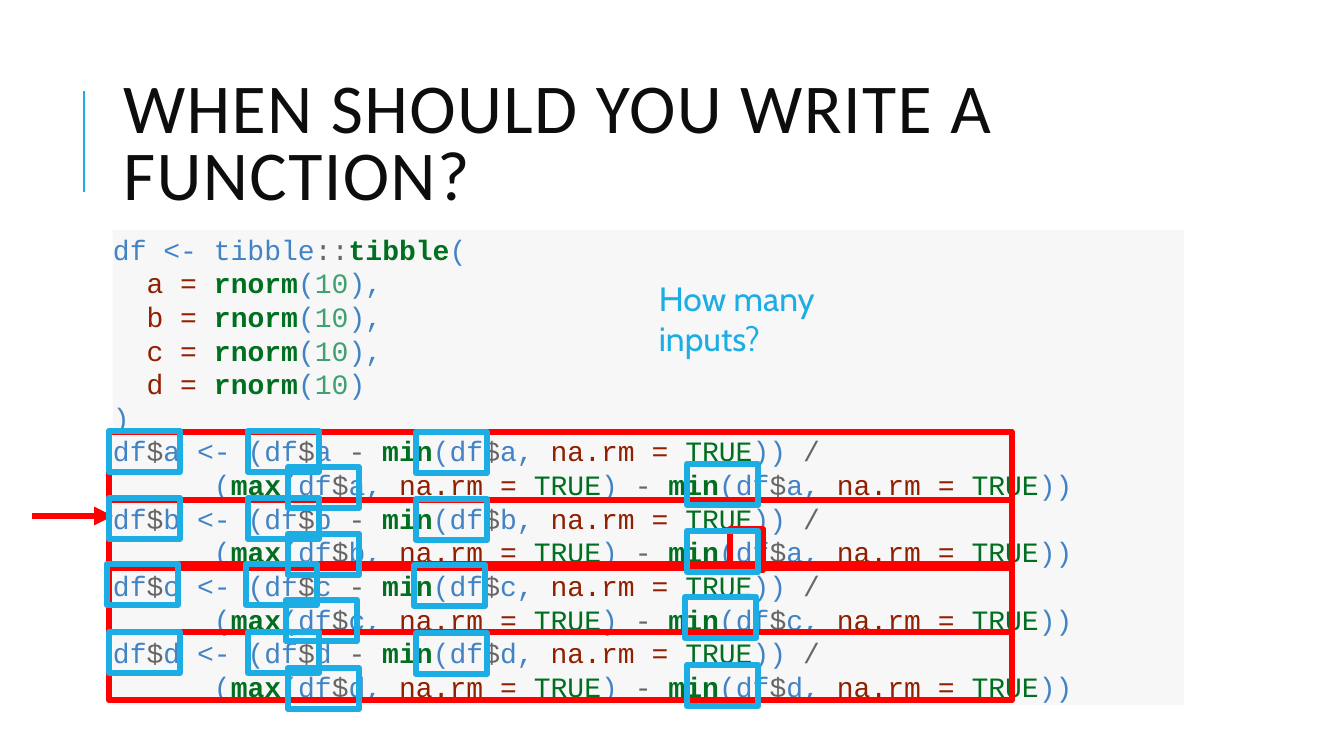
from lxml import etree
from pptx import Presentation
from pptx.dml.color import RGBColor
from pptx.enum.shapes import MSO_CONNECTOR, MSO_SHAPE
from pptx.enum.text import MSO_ANCHOR, MSO_AUTO_SIZE, PP_ALIGN
from pptx.oxml.ns import qn
from pptx.util import Emu, Pt

RECTANGLE = MSO_SHAPE.RECTANGLE
STRAIGHT = MSO_CONNECTOR.STRAIGHT
MIDDLE, TOP = MSO_ANCHOR.MIDDLE, MSO_ANCHOR.TOP
LEFT = PP_ALIGN.LEFT
NO_AUTOFIT = MSO_AUTO_SIZE.NONE

# Content
TITLE = "WHEN SHOULD YOU WRITE A FUNCTION?"
QUESTION = "How many inputs?"
COLUMNS = ["a", "b", "c", "d"]
MIN_COLUMNS = ["a", "a", "c", "d"]  # second statement holds the copy-paste slip

BLUE, RED = "1CADE4", "FF0000"
SYNTAX = {  # style: (colour, bold)
    "plain": ("4183C4", False),
    "operator": ("666666", False),
    "function": ("007020", True),
    "constant": ("007020", False),
    "argument": ("902000", False),
    "number": ("40A070", False),
    "space": ("333333", False),
    "tab": ("4070A0", False),
}

# Layout in px
EMU_PER_PX = 914400 / 100.8
SLIDE_SIZE = (1344, 756)
TITLE_BOX = (113, 64, 1072, 165)
CODE_BOX = (113, 230, 1071, 475)
CODE_TAB = 101
QUESTION_BOX = (649, 273, 260, 50)
ACCENT_LINE = (84, 192, 84, 91)
ARROW_LINE = (32, 516, 113, 516)
SLIP_LEFT, SLIP_TOP, SLIP_SIZE = 730, 529, (33, 41)
STATEMENT_LEFT, STATEMENT_SIZE = 109, (903, 68)
STATEMENT_TOPS = [432, 500, 564, 632]
INPUT_SIZE = (71, 41)
INPUT_ORIGINS = [(109, 431), (109, 498), (107, 564), (109, 632)]
INPUT_OFFSETS = [(0, 0), (139, 0), (307, 1), (179, 36), (578, 33)]


def px(*lengths):
    return [Emu(round(length * EMU_PER_PX)) for length in lengths]


def colour(value):
    return RGBColor.from_string(value)


def add_run(paragraph, text, font_name, size, value, bold=False):
    run = paragraph.add_run()
    run.text = text
    run.font.name = font_name
    run.font.size = Pt(size)
    run.font.bold = bold
    run.font.color.rgb = colour(value)
    return run


def add_outline(shapes, left, top, size, value):
    shape = shapes.add_shape(RECTANGLE, *px(left, top, *size))
    shape.shadow.inherit = False
    shape.fill.background()
    shape.line.color.rgb = colour(value)
    shape.line.width = Pt(4.5)


def add_line(shapes, ends, value, width):
    connector = shapes.add_connector(STRAIGHT, *px(*ends))
    connector.line.color.rgb = colour(value)
    connector.line.width = Pt(width)
    etree.SubElement(connector._element.spPr, qn("a:effectLst"))
    return connector


def add_tab_stop(paragraph, position):
    tabs = etree.SubElement(paragraph._p.get_or_add_pPr(), qn("a:tabLst"))
    etree.SubElement(tabs, qn("a:tab"), pos=str(px(position)[0]), algn="l")


def draw_line(column, end):
    return [("space", "  "), ("argument", f"{column} = "), ("function", "rnorm"),
            ("plain", "("), ("number", "10"), ("plain", end)]


def call_tokens(function, column, end):
    return [("function", function), ("plain", "(df"), ("operator", "$"),
            ("plain", f"{column}, "), ("argument", "na.rm = "),
            ("constant", "TRUE"), ("plain", end)]


def statement_lines(column, min_column):
    first = [("plain", "df"), ("operator", "$"), ("plain", f"{column} <- (df"),
             ("operator", "$"), ("plain", f"{column} "), ("operator", "- "),
             *call_tokens("min", column, ")) "), ("operator", "/")]
    second = [("tab", "\t"), ("plain", "("), *call_tokens("max", column, ") "),
              ("operator", "- "), *call_tokens("min", min_column, "))")]
    return [first, second]


def code_lines():
    lines = [[("plain", "df <- tibble"), ("operator", "::"),
              ("function", "tibble"), ("plain", "(")]]
    for column in COLUMNS:
        lines.append(draw_line(column, ")" if column == COLUMNS[-1] else "),"))
    lines.append([("plain", ")")])
    for column, min_column in zip(COLUMNS, MIN_COLUMNS):
        lines += statement_lines(column, min_column)
    return lines


def add_title(slide):
    title = slide.shapes.title
    title.left, title.top, title.width, title.height = px(*TITLE_BOX)
    frame = title.text_frame
    frame.auto_size = NO_AUTOFIT
    frame.word_wrap = True
    frame.vertical_anchor = MIDDLE
    paragraph = frame.paragraphs[0]
    paragraph.alignment = LEFT
    paragraph.line_spacing = 0.8
    run = add_run(paragraph, TITLE, "Calibri", 50, "0D0D0D")
    run.font._element.set("spc", "100")


def add_code(shapes):
    panel = shapes.add_shape(RECTANGLE, *px(*CODE_BOX))
    panel.shadow.inherit = False
    panel.fill.solid()
    panel.fill.fore_color.rgb = colour("F7F7F7")
    panel.line.fill.background()
    frame = panel.text_frame
    frame.word_wrap = True
    frame.vertical_anchor = MIDDLE
    frame.margin_left = frame.margin_right = 0
    frame.margin_top = frame.margin_bottom = 0
    for index, tokens in enumerate(code_lines()):
        paragraph = frame.add_paragraph() if index else frame.paragraphs[0]
        paragraph.alignment = LEFT
        add_tab_stop(paragraph, CODE_TAB)
        for style, text in tokens:
            add_run(paragraph, text, "Courier New", 20, *SYNTAX[style])


def add_question(shapes):
    frame = shapes.add_textbox(*px(*QUESTION_BOX)).text_frame
    frame.word_wrap = True
    frame.vertical_anchor = TOP
    add_run(frame.paragraphs[0], QUESTION, "Cabin", 24, BLUE)


def main():
    presentation = Presentation()
    presentation.slide_width, presentation.slide_height = px(*SLIDE_SIZE)
    slide = presentation.slides.add_slide(presentation.slide_layouts[5])
    shapes = slide.shapes

    # Title and code
    add_line(shapes, ACCENT_LINE, BLUE, 1.5)
    add_title(slide)
    add_code(shapes)

    # Repeated statements and the slip among them
    add_outline(shapes, SLIP_LEFT, SLIP_TOP, SLIP_SIZE, RED)
    arrow = add_line(shapes, ARROW_LINE, RED, 4.5)
    etree.SubElement(arrow.line._get_or_add_ln(), qn("a:tailEnd"), type="triangle")
    for top in STATEMENT_TOPS:
        add_outline(shapes, STATEMENT_LEFT, top, STATEMENT_SIZE, RED)

    # Inputs of each statement
    add_question(shapes)
    for left, top in INPUT_ORIGINS:
        group = shapes.add_group_shape()
        for across, down in INPUT_OFFSETS:
            add_outline(group.shapes, left + across, top + down, INPUT_SIZE, BLUE)

    presentation.save("out.pptx")


if __name__ == "__main__":
    main()
